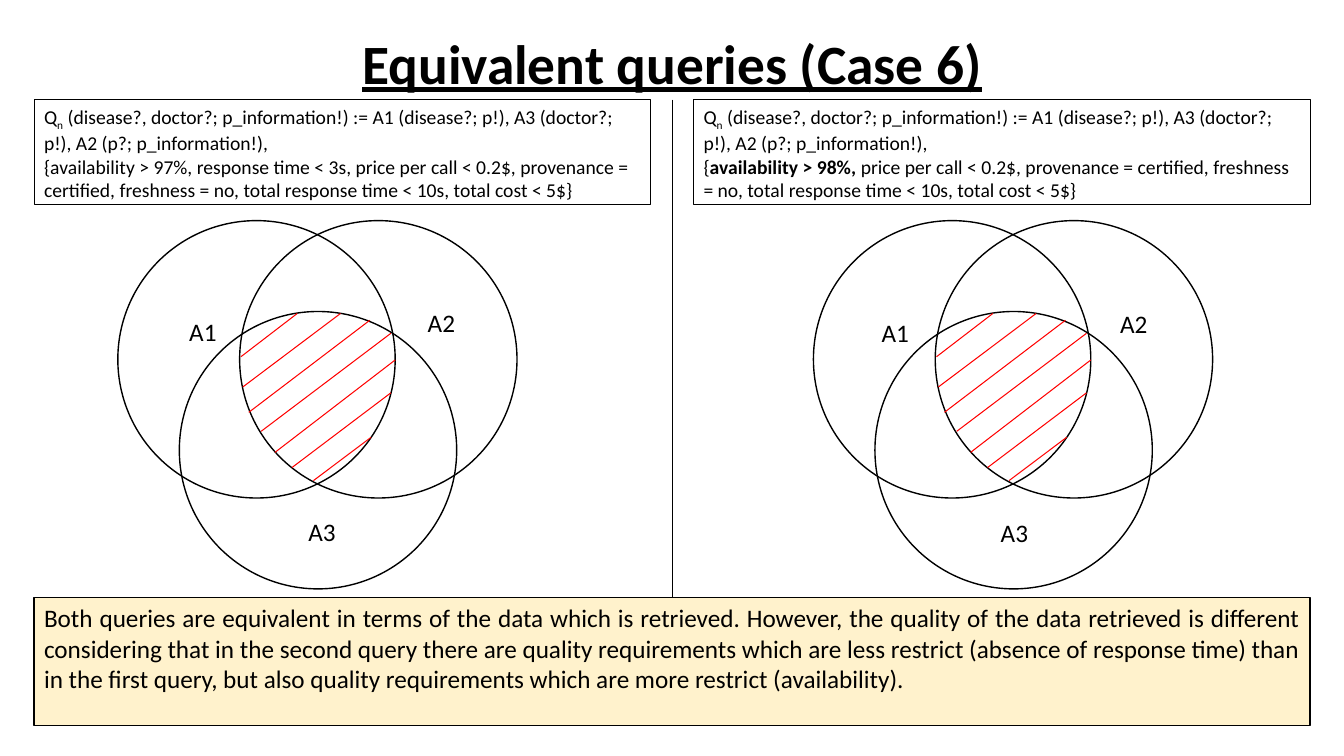
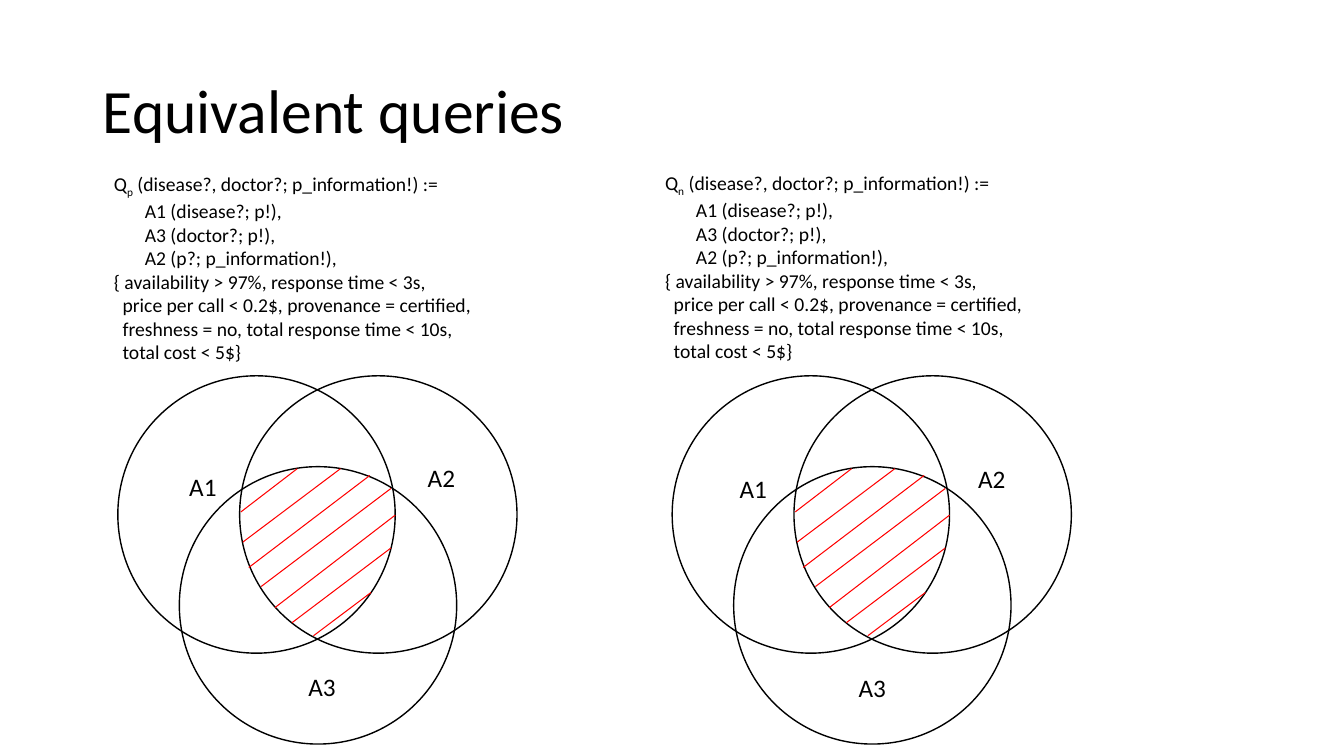
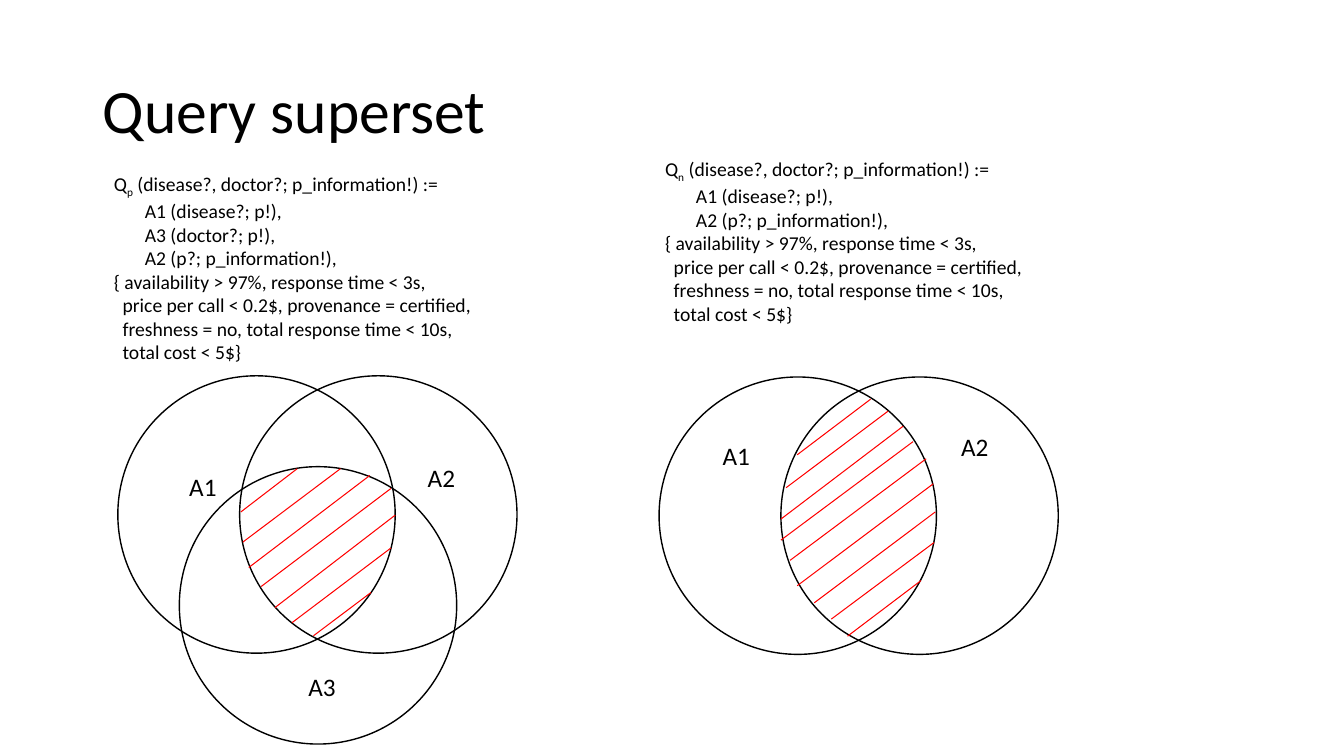
from dataclasses import dataclass

from lxml import etree
from pptx import Presentation
from pptx import util as u
from pptx.dml.color import RGBColor
from pptx.enum import shapes, text
from pptx.oxml import ns

Cm, Pt = u.Cm, u.Pt
FONT = "Calibri"
COLOURS = {"ink": "000000", "hatch": "FF0000", "note": "FFF2CC"}
TITLE_ONLY = 5

DIAMETER = 6.99
CIRCLES = {"A1": (0, 0), "A2": (3.07, 0), "A3": (1.55, 2.29)}
LABELS = {"A1": (0, 0), "A2": (6.01, -0.23), "A3": (3, 5.03)}

# Hatch strokes, measured from the corner of the A1 circle: x1, y1, x2, y2
HATCH_THREE = [
    (3.1, 3.43, 4.52, 2.34),
    (3.15, 4.19, 5.61, 2.34),
    (3.3, 4.83, 6.35, 2.51),
    (3.61, 5.31, 6.88, 2.84),
    (3.96, 5.84, 6.99, 3.51),
    (4.39, 6.22, 6.88, 4.34),
    (4.93, 6.55, 6.38, 5.46),
]
HATCH_TWO = [
    (3.48, 1.96, 5.33, 0.56),
    (3.2, 2.79, 5.77, 0.86),
    (3.07, 3.58, 6.15, 1.24),
    (3.07, 4.11, 6.4, 1.63),
    (3.3, 4.62, 6.73, 2.06),
    (3.48, 5.26, 6.91, 2.69),
    (3.91, 5.69, 6.96, 3.4),
    (4.34, 6.1, 6.93, 4.17),
    (4.75, 6.53, 6.6, 5.13),
]


@dataclass(frozen=True)
class Box:
    left: float
    top: float
    width: float
    height: float

    def lengths(self) -> tuple:
        return Cm(self.left), Cm(self.top), Cm(self.width), Cm(self.height)


@dataclass(frozen=True)
class Span:
    words: str
    bold: bool = False
    subscript: bool = False


@dataclass(frozen=True)
class Line:
    spans: tuple
    indent: float = 0


@dataclass(frozen=True)
class Venn:
    left: float
    top: float
    label_offset: tuple = (1.55, 2.29)
    sets: tuple = ("A1", "A2", "A3")
    hatch: tuple = tuple(HATCH_THREE)


HEAD = " (disease?, doctor?; p_information!) :="
ATOMS = {
    "A1": "A1 (disease?; p!),",
    "A3": "A3 (doctor?; p!),",
    "A2": "A2 (p?; p_information!),",
}
QUALITY = [
    "price per call < 0.2$, provenance = certified,",
    "freshness = no, total response time < 10s,",
    "total cost < 5$}",
]
TITLE_BOX = Box(2.34, 1.02, 29.21, 3.68)
LEFT_QUERY = Box(2.62, 4.22, 9.8, 5.05)
LEFT_VENN = Venn(2.97, 9.47)


def colour(name: str) -> RGBColor:
    return RGBColor.from_string(COLOURS[name])


def style(paragraph, size: float) -> None:
    paragraph.font.name = FONT
    paragraph.font.size = Pt(size)
    paragraph.font.color.rgb = colour("ink")


def write(frame, lines: list, size: float, align=text.PP_ALIGN.LEFT) -> None:
    frame.vertical_anchor = text.MSO_ANCHOR.TOP
    for number, line in enumerate(lines):
        paragraph = frame.paragraphs[0] if number == 0 else frame.add_paragraph()
        paragraph.alignment = align
        if line.indent:
            paragraph._p.get_or_add_pPr().set("marL", str(Cm(line.indent)))
        style(paragraph, size)
        for span in line.spans:
            run = paragraph.add_run()
            run.text = span.words
            if span.bold:
                run.font.bold = True
            if span.subscript:
                run._r.get_or_add_rPr().set("baseline", "-25000")


def plain(words: str, indent: float = 0) -> Line:
    return Line((Span(words),), indent)


def query_head(version: str, words: str) -> Line:
    return Line((Span("Q"), Span(version, subscript=True), Span(words)))


def query_lines(version: str, *atoms: str) -> list:
    return [
        query_head(version, HEAD),
        *(plain(ATOMS[atom], 0.78) for atom in atoms),
        plain("{ availability > 97%, response time < 3s,"),
        *(plain(words, 0.22) for words in QUALITY),
    ]


def add_text(holder, box: Box, lines: list, size: float, wrap: bool = True) -> None:
    frame = holder.add_textbox(*box.lengths()).text_frame
    frame.word_wrap = wrap
    frame.auto_size = text.MSO_AUTO_SIZE.SHAPE_TO_FIT_TEXT
    write(frame, lines, size)


def add_outline(holder, kind, box: Box, weight: float, fill: str = ""):
    shape = holder.add_shape(kind, *box.lengths())
    shape.shadow.inherit = False
    if fill:
        shape.fill.solid()
        shape.fill.fore_color.rgb = colour(fill)
    else:
        shape.fill.background()
    shape.line.color.rgb = colour("ink")
    shape.line.width = Pt(weight)
    return shape


def add_line(holder, x1: float, y1: float, x2: float, y2: float,
             ink: str, weight: float) -> None:
    line = holder.add_connector(
        shapes.MSO_CONNECTOR.STRAIGHT, Cm(x1), Cm(y1), Cm(x2), Cm(y2))
    line.line.color.rgb = colour(ink)
    line.line.width = Pt(weight)
    etree.SubElement(line._element.spPr, ns.qn("a:effectLst"))


def add_venn(slide, venn: Venn) -> None:
    holder = slide.shapes.add_group_shape().shapes
    for name in venn.sets:
        dx, dy = CIRCLES[name]
        circle = Box(venn.left + dx, venn.top + dy, DIAMETER, DIAMETER)
        add_outline(holder, shapes.MSO_SHAPE.OVAL, circle, 1)
    for x1, y1, x2, y2 in venn.hatch:
        add_line(holder, venn.left + x1, venn.top + y1,
                 venn.left + x2, venn.top + y2, "hatch", 0.75)
    label_left = venn.left + venn.label_offset[0]
    label_top = venn.top + venn.label_offset[1]
    for name in venn.sets:
        dx, dy = LABELS[name]
        label = Box(label_left + dx, label_top + dy, 1.22, 1.02)
        add_text(holder, label, [plain(name)], 18, wrap=False)


def add_titled_slide(deck, title: str, box: Box = TITLE_BOX, size: float = 44,
                     align=text.PP_ALIGN.LEFT, anchor=text.MSO_ANCHOR.MIDDLE):
    slide = deck.slides.add_slide(deck.slide_layouts[TITLE_ONLY])
    heading = slide.shapes.title
    heading.left, heading.top, heading.width, heading.height = box.lengths()
    frame = heading.text_frame
    frame.text = title
    frame.auto_size = text.MSO_AUTO_SIZE.NONE
    frame.vertical_anchor = anchor
    paragraph = frame.paragraphs[0]
    paragraph.alignment = align
    paragraph.line_spacing = 0.9
    style(paragraph, size)
    return slide


def add_case_slide(deck) -> None:
    slide = add_titled_slide(
        deck, "Equivalent queries (Case 6)", Box(2.34, 0.79, 29.21, 1.73), 39.6,
        text.PP_ALIGN.CENTER, text.MSO_ANCHOR.TOP)
    heading_font = slide.shapes.title.text_frame.paragraphs[0].font
    heading_font.bold = heading_font.underline = True

    add_venn(slide, Venn(2.97, 5.56))
    add_venn(slide, Venn(20.5, 5.56, label_offset=(1.47, 2.31)))
    add_line(slide.shapes, 16.94, 2.51, 16.94, 15.54, "ink", 0.5)

    head = query_head("n", " ".join([HEAD, *ATOMS.values()]))
    shared = " ".join(QUALITY)
    first = plain("{availability > 97%, response time < 3s, " + shared)
    second = Line((Span("{"), Span("availability > 98%, ", bold=True), Span(shared)))
    for left, quality in ((0.86, first), (17.48, second)):
        query = add_outline(slide.shapes, shapes.MSO_SHAPE.RECTANGLE,
                            Box(left, 2.51, 15.54, 2.64), 0.75)
        query.text_frame.word_wrap = True
        query.text_frame.auto_size = text.MSO_AUTO_SIZE.SHAPE_TO_FIT_TEXT
        write(query.text_frame, [head, quality], 14)

    conclusion = add_outline(slide.shapes, shapes.MSO_SHAPE.RECTANGLE,
                             Box(0.86, 15.06, 32.16, 3.23), 1, "note")
    conclusion.text_frame.word_wrap = True
    write(conclusion.text_frame, [plain(
        "Both queries are equivalent in terms of the data which is retrieved. "
        "However, the quality of the data retrieved is different considering that "
        "in the second query there are quality requirements which are less restrict "
        "(absence of response time) than in the first query, but also quality "
        "requirements which are more restrict (availability).")],
        18, text.PP_ALIGN.JUSTIFY)


def add_comparison_slide(deck, title: str, right_box: Box, right_atoms: tuple,
                         right_venn: Venn) -> None:
    slide = add_titled_slide(deck, title)
    add_text(slide.shapes, LEFT_QUERY, query_lines("p", *ATOMS), 14)
    add_text(slide.shapes, right_box, query_lines("n", *right_atoms), 14)
    add_venn(slide, LEFT_VENN)
    add_venn(slide, right_venn)


def main() -> None:
    deck = Presentation()
    deck.slide_width, deck.slide_height = Cm(33.87), Cm(19.05)
    add_case_slide(deck)
    add_comparison_slide(
        deck, "Equivalent queries", Box(16.51, 4.19, 9.8, 5.05), tuple(ATOMS),
        Venn(16.94, 9.47, label_offset=(1.45, 2.32)))
    add_comparison_slide(
        deck, "Query superset", Box(16.51, 3.84, 9.8, 4.45), ("A1", "A2"),
        Venn(16.61, 9.5, (1.35, 1.47), ("A1", "A2"), tuple(HATCH_TWO)))
    deck.save("out.pptx")


if __name__ == "__main__":
    main()
